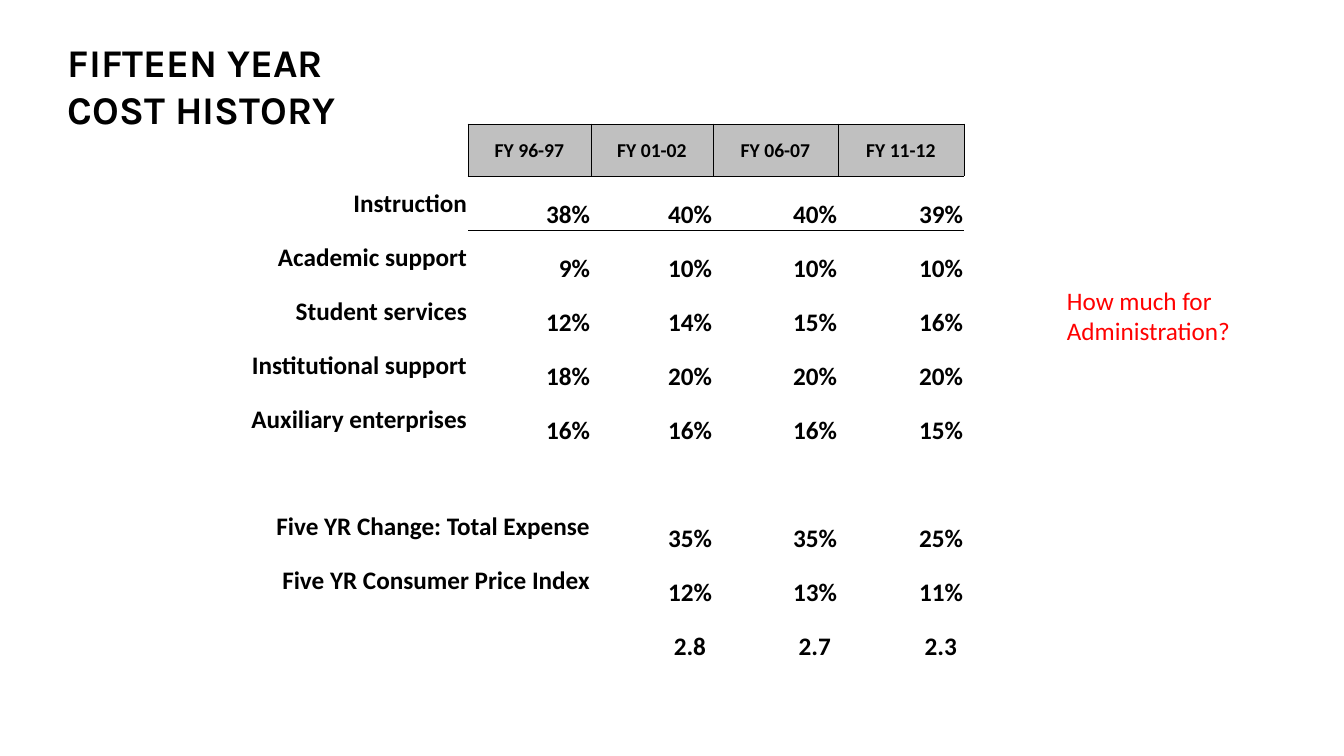
"""Build the fifteen year cost history slide."""
from lxml import etree
from pptx import Presentation
from pptx.dml.color import RGBColor
from pptx.enum.text import MSO_ANCHOR, MSO_AUTO_SIZE, PP_ALIGN
from pptx.oxml.ns import qn
from pptx.util import Pt

MIDDLE, BOTTOM = MSO_ANCHOR.MIDDLE, MSO_ANCHOR.BOTTOM
CENTER, RIGHT = PP_ALIGN.CENTER, PP_ALIGN.RIGHT
FIT_SHAPE = MSO_AUTO_SIZE.SHAPE_TO_FIT_TEXT
EMU_PER_PIXEL = 914400 / 100.8
NO_STYLE = "{2D5ABB26-0587-4C30-8999-92F81FD0307C}"
BORDER_WIDTH = Pt(0.5)
BLACK, GRAY, RED = "000000", "C0C0C0", "FF0000"


def px(*lengths):
    return [round(length * EMU_PER_PIXEL) for length in lengths]


def style(frame, size, font, color, bold):
    for para in frame.paragraphs:
        for span in para.runs:
            span.font.size = Pt(size)
            span.font.name = font
            span.font.bold = bold
            span.font.color.rgb = RGBColor.from_string(color)


deck = Presentation()
deck.slide_width, deck.slide_height = px(1344, 756)
page = deck.slides.add_slide(deck.slide_layouts[6])

title = page.shapes.add_textbox(*px(58, 33, 361, 194)).text_frame
title.word_wrap = True
title.text = "FIFTEEN YEAR COST HISTORY"
title.paragraphs[0].space_before = Pt(3)
style(title, 28, "Karla", BLACK, True)

rows = [
    ["", "FY 96-97", "FY 01-02", "FY 06-07", "FY 11-12"],
    ["Instruction", "38%", "40%", "40%", "39%"],
    ["Academic support", "9%", "10%", "10%", "10%"],
    ["Student services", "12%", "14%", "15%", "16%"],
    ["Institutional support", "18%", "20%", "20%", "20%"],
    ["Auxiliary enterprises", "16%", "16%", "16%", "15%"],
    ["", "", "", "", ""],
    ["Five YR Change: Total Expense", "", "35%", "35%", "25%"],
    ["Five YR Consumer Price Index", "", "12%", "13%", "11%"],
    ["", "", "2.8", "2.7", "2.3"],
]
widths = px(288, 123, 122, 125, 126)
heights = px(52, *[54] * 9)
ratio_row = len(rows) - 1

holder = page.shapes.add_table(len(rows), len(widths), *px(180, 124, 784, 538))
table = holder.table
table.first_row = table.horz_banding = False
for style_id in holder.element.iter(qn("a:tableStyleId")):
    style_id.text = NO_STYLE
for column, width in zip(table.columns, widths):
    column.width = width
for row, height in zip(table.rows, heights):
    row.height = height
for spanning_row in (7, 8):
    table.cell(spanning_row, 0).merge(table.cell(spanning_row, 1))

for row_index, texts in enumerate(rows):
    for column_index, text in enumerate(texts):
        cell = table.cell(row_index, column_index)
        is_header = row_index == 0 and column_index > 0
        if is_header:
            sides = ("L", "R", "T", "B")
        elif row_index == 0:
            sides = ("R",)
        elif row_index == 1 and column_index > 0:
            sides = ("T",)
        else:
            sides = ()
        properties = cell._tc.get_or_add_tcPr()
        for side in sides:
            border = etree.SubElement(properties, qn(f"a:ln{side}"), w=str(BORDER_WIDTH))
            fill = etree.SubElement(border, qn("a:solidFill"))
            etree.SubElement(fill, qn("a:srgbClr"), val=BLACK)
        if is_header:
            cell.fill.solid()
            cell.fill.fore_color.rgb = RGBColor.from_string(GRAY)
        else:
            cell.fill.background()
        if not text:
            continue
        right_margin = 7 if row_index == ratio_row else 1
        cell.margin_left, cell.margin_top, cell.margin_right, cell.margin_bottom = px(1, 1, right_margin, 0)
        cell.vertical_anchor = MIDDLE if is_header or column_index == 0 else BOTTOM
        cell.text_frame.text = text
        cell.text_frame.paragraphs[0].alignment = CENTER if is_header else RIGHT
        style(cell.text_frame, 14 if is_header else 18, "Calibri", BLACK, True)

question = page.shapes.add_textbox(*px(1057, 280, 186, 72)).text_frame
question.word_wrap = False
question.auto_size = FIT_SHAPE
question.text = "How much for\nAdministration?"
style(question, 18, "Calibri", RED, False)

deck.save("out.pptx")
